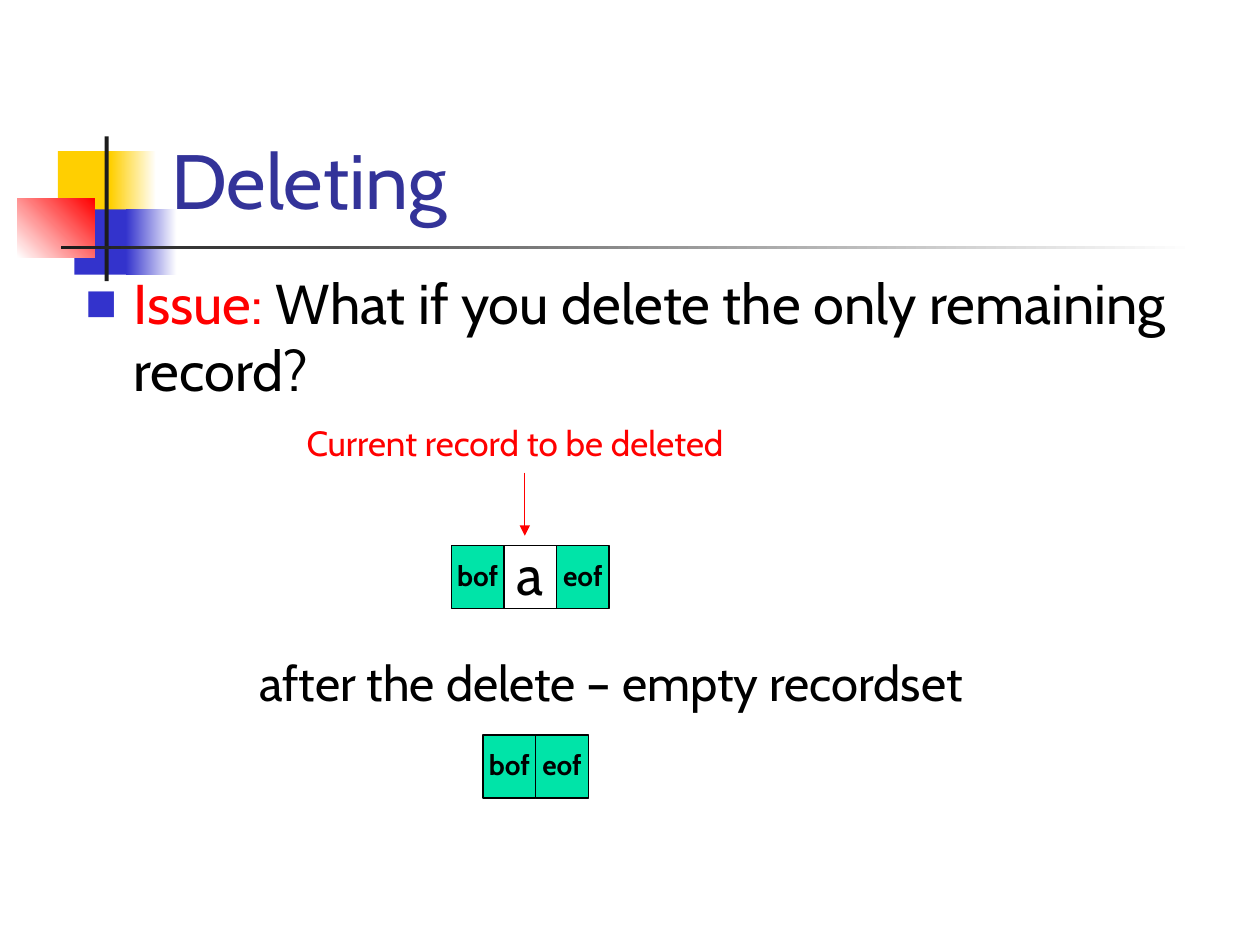
from dataclasses import dataclass

from lxml import etree
from pptx import Presentation, util as u
from pptx.dml.color import RGBColor
from pptx.enum import shapes, text
from pptx.oxml import ns


@dataclass(frozen=True)
class Theme:
    font: str = "Cabin"
    ink: str = "000000"
    paper: str = "FFFFFF"
    bar: str = "1C1C1C"
    title: str = "333399"
    yellow: str = "FFCF01"
    blue: str = "3333CC"
    red: str = "FF0000"
    green: str = "00E4A8"
    title_size: int = 44
    body_size: int = 32
    outcome_size: int = 28
    label_size: int = 20
    marker_size: int = 16
    line_width: float = 0.75


class RecordsetSlide:
    """Draws slide elements in one shared style, with lengths in centimetres."""

    def __init__(self, slide, theme):
        self.slide = slide
        self.theme = theme

    def block(self, left, top, width, height, *colours, angle=0):
        rect = self.slide.shapes.add_shape(
            shapes.MSO_SHAPE.RECTANGLE, *map(u.Cm, (left, top, width, height)))
        rect.shadow.inherit = False
        rect.line.fill.background()
        if len(colours) > 1:
            rect.fill.gradient()
            rect.fill.gradient_angle = angle
            for stop, colour in zip(rect.fill.gradient_stops, colours):
                stop.color.rgb = RGBColor.from_string(colour)
        elif colours:
            rect.fill.solid()
            rect.fill.fore_color.rgb = RGBColor.from_string(colours[0])
        else:
            rect.fill.background()
        return rect

    def add_runs(self, paragraph, runs, size, bold=False):
        for words, colour in runs:
            run = paragraph.add_run()
            run.text = words
            run.font.name = self.theme.font
            run.font.size = u.Pt(size)
            run.font.bold = bold
            run.font.color.rgb = RGBColor.from_string(colour)

    def words(self, left, top, width, height, runs, size,
              anchor=text.MSO_ANCHOR.TOP, spacing=1.0):
        frame = self.slide.shapes.add_textbox(
            *map(u.Cm, (left, top, width, height))).text_frame
        frame.word_wrap = True
        frame.vertical_anchor = anchor
        paragraph = frame.paragraphs[0]
        paragraph.line_spacing = spacing
        self.add_runs(paragraph, runs, size)
        return paragraph

    def bullet(self, paragraph, indent):
        properties = paragraph._p.get_or_add_pPr()
        properties.set("marL", str(u.Cm(indent)))
        properties.set("indent", str(-u.Cm(indent)))
        colour = etree.SubElement(properties, ns.qn("a:buClr"))
        etree.SubElement(colour, ns.qn("a:srgbClr"), val=self.theme.blue)
        etree.SubElement(properties, ns.qn("a:buSzPct"), val="60000")
        etree.SubElement(properties, ns.qn("a:buFont"), typeface=self.theme.font)
        etree.SubElement(properties, ns.qn("a:buChar"), char="■")

    def cell(self, left, top, width, height, label):
        is_marker = label in ("bof", "eof")
        fill = (self.theme.green,) if is_marker else ()
        record = self.block(left, top, width, height, *fill)
        record.line.color.rgb = RGBColor.from_string(self.theme.ink)
        record.line.width = u.Pt(self.theme.line_width)
        frame = record.text_frame
        frame.word_wrap = False
        frame.vertical_anchor = text.MSO_ANCHOR.MIDDLE
        paragraph = frame.paragraphs[0]
        paragraph.alignment = text.PP_ALIGN.CENTER
        paragraph.line_spacing = 0.9
        size = self.theme.marker_size if is_marker else self.theme.body_size
        self.add_runs(paragraph, [(label, self.theme.ink)], size, bold=is_marker)

    def recordset(self, left, top, labels, width=1.06, height=1.27):
        for position, label in reversed(list(enumerate(labels))):
            self.cell(left + position * width, top, width, height, label)

    def arrow(self, x, top, bottom):
        pointer = self.slide.shapes.add_connector(
            shapes.MSO_CONNECTOR.STRAIGHT, *map(u.Cm, (x, top, x, bottom)))
        pointer.line.color.rgb = RGBColor.from_string(self.theme.red)
        pointer.line.width = u.Pt(self.theme.line_width)
        etree.SubElement(pointer.line._get_or_add_ln(), ns.qn("a:tailEnd"),
                         type="triangle")
        etree.SubElement(pointer._element.spPr, ns.qn("a:effectLst"))


def main():
    theme = Theme()
    deck = Presentation()
    deck.slide_width, deck.slide_height = u.Cm(25.4), u.Cm(19.05)
    page = RecordsetSlide(deck.slides.add_slide(deck.slide_layouts[6]), theme)

    page.block(1.17, 3.05, 1.22, 1.32, theme.yellow)
    page.block(2.23, 3.05, 0.92, 1.32, theme.yellow, theme.paper)
    page.block(1.5, 4.22, 1.17, 1.32, theme.blue)
    page.block(2.54, 4.22, 1.02, 1.32, theme.blue, theme.paper)
    page.block(0.35, 4.01, 1.56, 1.18, theme.paper, theme.red, angle=45)
    page.block(2.11, 2.75, 0.08, 2.92, theme.bar)
    page.block(1.23, 4.95, 22.86, 0.08, theme.bar, theme.paper)

    page.words(3.2, 0.58, 21.64, 4.07, [("Deleting", theme.title)],
               theme.title_size, anchor=text.MSO_ANCHOR.BOTTOM)
    issue = page.words(
        1.47, 5.28, 23.19, 3.2,
        [("Issue:", theme.red),
         (" What if you delete the only remaining record?", theme.ink)],
        theme.body_size)
    page.bullet(issue, 0.97)
    page.words(4.98, 13.03, 19.5, 1.5,
               [("after the delete – empty recordset", theme.ink)],
               theme.outcome_size)

    page.recordset(9.1, 11, ("bof", "a", "eof"))
    page.arrow(10.58, 9.53, 10.8)
    page.recordset(9.74, 14.82, ("bof", "eof"))
    page.words(5.93, 8.47, 9.73, 1.78,
               [("Current record to be deleted", theme.red)],
               theme.label_size, spacing=0.9)

    deck.save("out.pptx")


if __name__ == "__main__":
    main()
